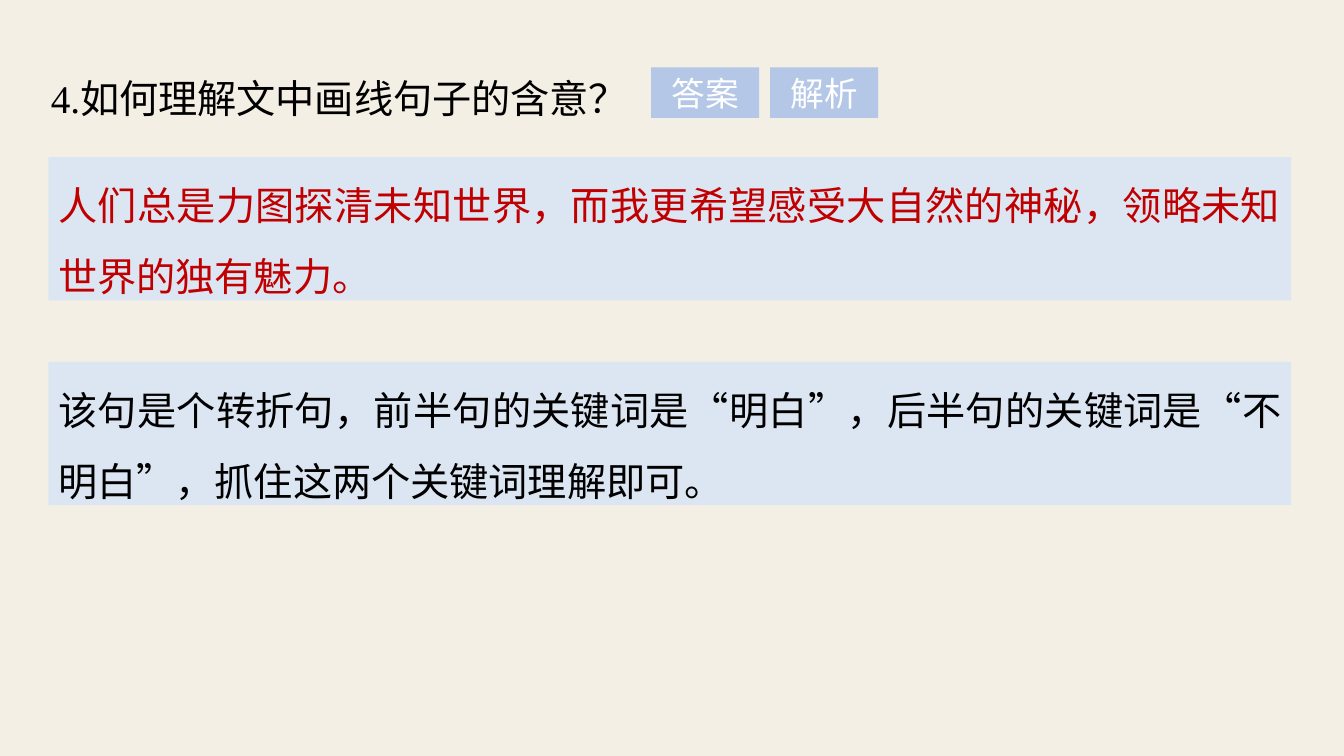
from itertools import groupby

from lxml.etree import SubElement
from pptx import Presentation
from pptx.dml.color import RGBColor
from pptx.enum.shapes import MSO_SHAPE as Preset
from pptx.enum.text import MSO_ANCHOR as Anchor, MSO_AUTO_SIZE as AutoSize, PP_ALIGN as Align
from pptx.oxml.ns import qn
from pptx.util import Cm, Pt

# Colours and fonts
CREAM = RGBColor(0xF3, 0xEF, 0xE5)
BUTTON_BLUE = RGBColor(0xB4, 0xC7, 0xE7)
PANEL_BLUE = RGBColor(0xDC, 0xE6, 0xF2)
BLACK = RGBColor(0, 0, 0)
WHITE = RGBColor(0xFF, 0xFF, 0xFF)
RED = RGBColor(0xC0, 0, 0)
SERIF, SANS, CHINESE = "Times New Roman", "Arial", "Noto Sans CJK SC"
QUOTES = "“”"

# Content
QUESTION = "4.如何理解文中画线句子的含意？"
BUTTONS = ["答案", "解析"]
PANELS = [
    ("人们总是力图探清未知世界，而我更希望感受大自然的神秘，领略未知世界的独有魅力。", RED),
    ("该句是个转折句，前半句的关键词是“明白”，后半句的关键词是“不明白”，抓住这两个关键词理解即可。", BLACK),
]

# Layout in centimetres
BUTTON_LEFT, BUTTON_TOP, BUTTON_STEP = 16.41, 1.7, 3
PANEL_LEFT, PANEL_TOP, PANEL_STEP = 1.22, 3.96, 5.16


def write(box, text, *, size=28, color=BLACK, font=SERIF, align=Align.JUSTIFY,
          spacing=1.5, anchor=Anchor.MIDDLE):
    """Fill a box with one paragraph; quotation marks take the Chinese font."""
    frame = box.text_frame
    frame.word_wrap = True
    frame.auto_size = AutoSize.SHAPE_TO_FIT_TEXT
    frame.vertical_anchor = anchor
    para = frame.paragraphs[0]
    para.alignment = align
    para.line_spacing = spacing
    for is_quote, letters in groupby(text, key=lambda letter: letter in QUOTES):
        span = para.add_run()
        span.text = "".join(letters)
        span.font.size = Pt(size)
        span.font.color.rgb = color
        span.font.name = CHINESE if is_quote else font
        SubElement(span.font._element, qn("a:ea"), typeface=CHINESE)


def add_block(page, left, top, width, height, fill):
    block = page.shapes.add_shape(Preset.RECTANGLE, Cm(left), Cm(top), Cm(width), Cm(height))
    block.shadow.inherit = False
    block.fill.solid()
    block.fill.fore_color.rgb = fill
    block.line.fill.background()
    return block


def main():
    deck = Presentation()
    deck.slide_width, deck.slide_height = Cm(33.87), Cm(19.05)
    page = deck.slides.add_slide(deck.slide_layouts[6])
    page.background.fill.solid()
    page.background.fill.fore_color.rgb = CREAM

    # Question
    box = page.shapes.add_textbox(Cm(0.94), Cm(1.12), Cm(31.88), Cm(1.9))
    frame = box.text_frame
    frame.margin_left = frame.margin_right = Cm(0.34)
    frame.margin_top = frame.margin_bottom = Cm(0.17)
    write(box, QUESTION, anchor=Anchor.TOP)

    # Buttons
    for index, label in enumerate(BUTTONS):
        button = add_block(page, BUTTON_LEFT + index * BUTTON_STEP, BUTTON_TOP,
                           2.72, 1.27, BUTTON_BLUE)
        write(button, label, size=24, color=WHITE, font=SANS, align=Align.CENTER, spacing=1)

    # Answer and explanation panels
    for index, (text, color) in enumerate(PANELS):
        panel = add_block(page, PANEL_LEFT, PANEL_TOP + index * PANEL_STEP,
                          31.32, 3.61, PANEL_BLUE)
        write(panel, text, color=color)

    deck.save("out.pptx")


if __name__ == "__main__":
    main()
